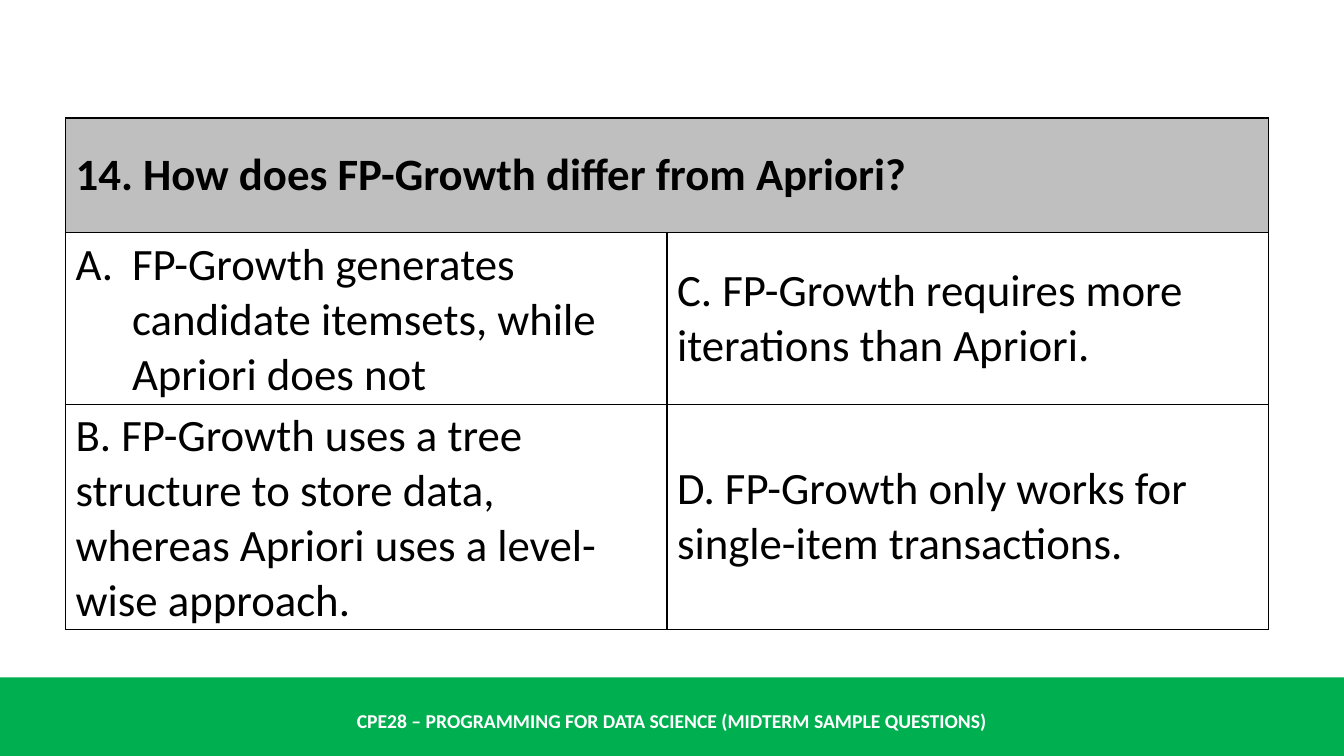
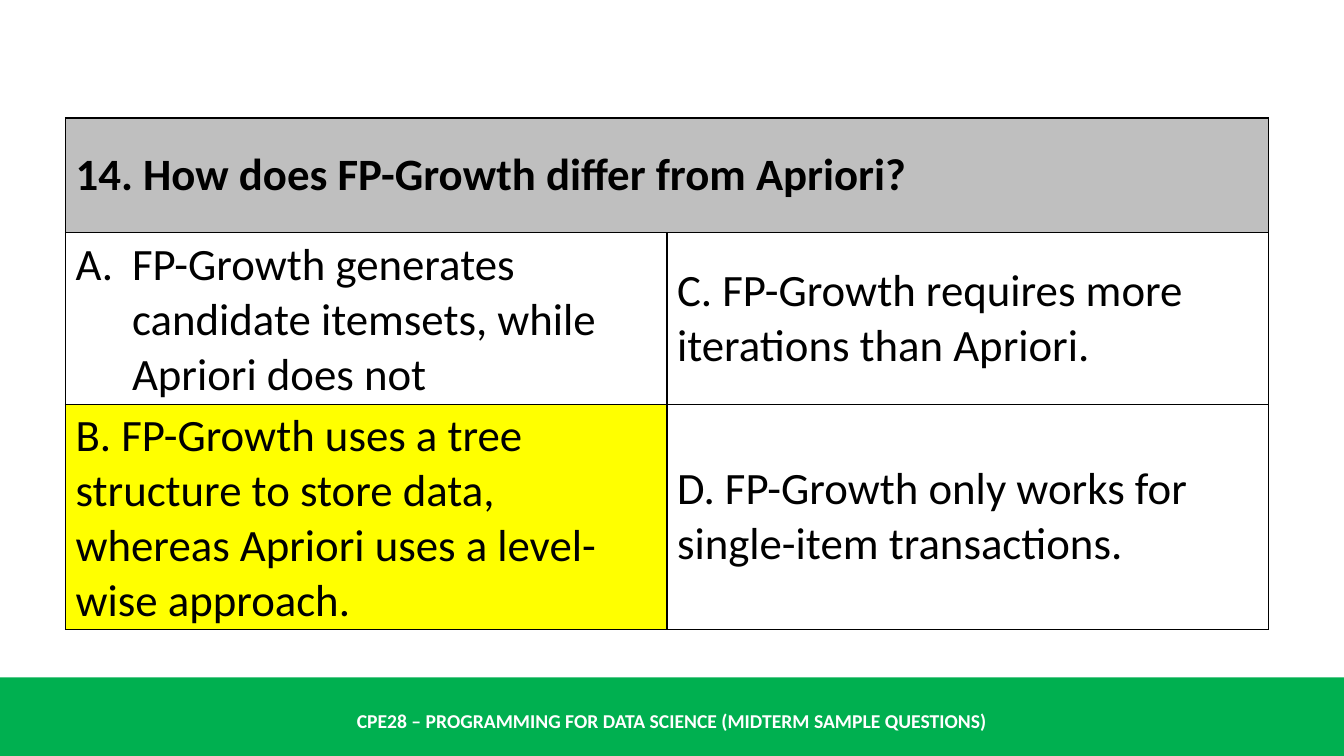
import pptx
import pptx.dml.color
import pptx.enum.shapes
import pptx.enum.text
import pptx.oxml
import pptx.oxml.ns
import pptx.util
from lxml import etree

RGBColor = pptx.dml.color.RGBColor
Inches = pptx.util.Inches
MIDDLE = pptx.enum.text.MSO_ANCHOR.MIDDLE

GREEN = RGBColor(0x00, 0xB0, 0x50)
GRAY = RGBColor(0xBF, 0xBF, 0xBF)
YELLOW = RGBColor(0xFF, 0xFF, 0x00)
BLACK = RGBColor(0x00, 0x00, 0x00)
WHITE = RGBColor(0xFF, 0xFF, 0xFF)
FONT = "Calibri"

FOOTER = "CPE28 – PROGRAMMING FOR DATA SCIENCE (MIDTERM SAMPLE QUESTIONS)"
QUESTION = "14. How does FP-Growth differ from Apriori?"
NUMBERED = (1, 0)
ANSWER = (2, 0)
CHOICES = [
    ["FP-Growth generates candidate itemsets, while Apriori does not",
     "C. FP-Growth requires more iterations than Apriori."],
    ["B. FP-Growth uses a tree structure to store data, whereas Apriori uses a level-wise approach.",
     "D. FP-Growth only works for single-item transactions."],
]
HIGHLIGHTS = [None, ANSWER]  # one slide each: the question, then its answer

WIDTH, HEIGHT = 13.33, 7.5
BAND_TOP = 6.72
TABLE_LEFT, TABLE_TOP, TABLE_WIDTH = 0.65, 1.17, 11.93
ROW_HEIGHT = 1.14
NUMBER_INDENT = Inches(0.56)


def add_run(paragraph, text, size, color, bold):
    run = paragraph.add_run()
    run.text = text
    run.font.name = FONT
    run.font.size = pptx.util.Pt(size)
    run.font.bold = bold
    run.font.color.rgb = color


def add_footer(slide):
    """Draw the footer band and move it to the layout that all slides share."""
    band = slide.shapes.add_shape(
        pptx.enum.shapes.MSO_SHAPE.RECTANGLE,
        0, Inches(BAND_TOP), Inches(WIDTH), Inches(HEIGHT - BAND_TOP))
    band.shadow.inherit = False
    band.fill.solid()
    band.fill.fore_color.rgb = GREEN
    band.line.fill.background()

    label = slide.shapes.add_textbox(0, Inches(6.95), Inches(WIDTH), Inches(0.4))
    frame = label.text_frame
    frame.word_wrap = True
    frame.vertical_anchor = MIDDLE
    paragraph = frame.paragraphs[0]
    paragraph.alignment = pptx.enum.text.PP_ALIGN.CENTER
    add_run(paragraph, FOOTER, 14, WHITE, True)

    for shape in (band, label):
        slide.slide_layout.shapes.element.append(shape.element)


def add_borders(cell):
    properties = cell._tc.get_or_add_tcPr()
    for side in ("lnL", "lnR", "lnT", "lnB"):
        properties.append(pptx.oxml.parse_xml(
            f'<a:{side} {pptx.oxml.ns.nsdecls("a")} w="12700"><a:solidFill>'
            f'<a:srgbClr val="{BLACK}"/></a:solidFill></a:{side}>'))


def add_letter(paragraph):
    """Number the paragraph A. with a hanging indent."""
    properties = paragraph._p.get_or_add_pPr()
    properties.set("marL", str(NUMBER_INDENT))
    properties.set("indent", str(-NUMBER_INDENT))
    number = etree.SubElement(properties, pptx.oxml.ns.qn("a:buAutoNum"))
    number.set("type", "alphaUcPeriod")


def add_question(slide, highlight):
    rows = [[QUESTION, ""]] + CHOICES
    table = slide.shapes.add_table(
        len(rows), 2, Inches(TABLE_LEFT), Inches(TABLE_TOP),
        Inches(TABLE_WIDTH), Inches(ROW_HEIGHT * len(rows))).table
    table.first_row = table.horz_banding = False
    table.cell(0, 0).merge(table.cell(0, 1))

    for row, texts in enumerate(rows):
        for column, text in enumerate(texts):
            cell = table.cell(row, column)
            add_borders(cell)
            cell.vertical_anchor = MIDDLE
            if row == 0 or (row, column) == highlight:
                cell.fill.solid()
                cell.fill.fore_color.rgb = GRAY if row == 0 else YELLOW
            else:
                cell.fill.background()
            paragraph = cell.text_frame.paragraphs[0]
            if (row, column) == NUMBERED:
                add_letter(paragraph)
            if text:
                add_run(paragraph, text, 32, BLACK, row == 0)


def main():
    presentation = pptx.Presentation()
    presentation.slide_width = Inches(WIDTH)
    presentation.slide_height = Inches(HEIGHT)
    blank = presentation.slide_layouts[6]
    slides = [presentation.slides.add_slide(blank) for _ in HIGHLIGHTS]
    add_footer(slides[0])
    for slide, highlight in zip(slides, HIGHLIGHTS):
        add_question(slide, highlight)
    presentation.save("out.pptx")


if __name__ == "__main__":
    main()
